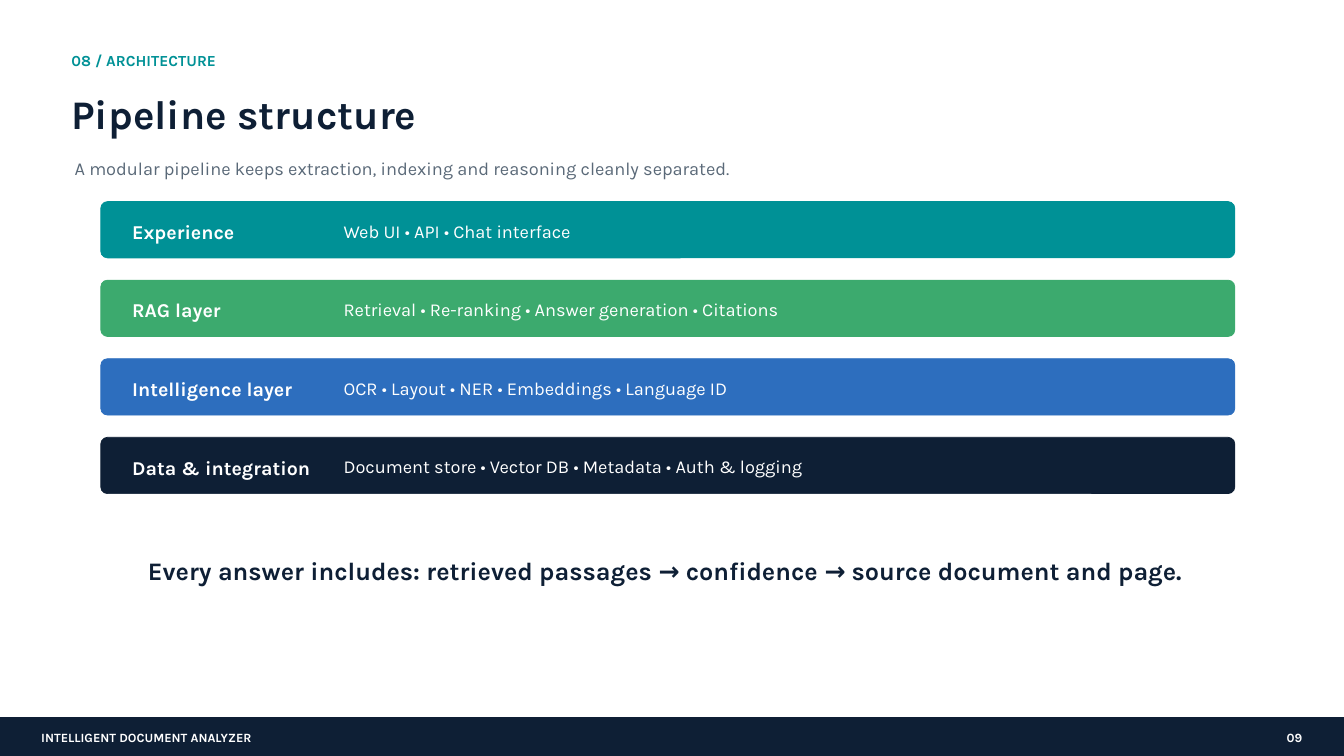
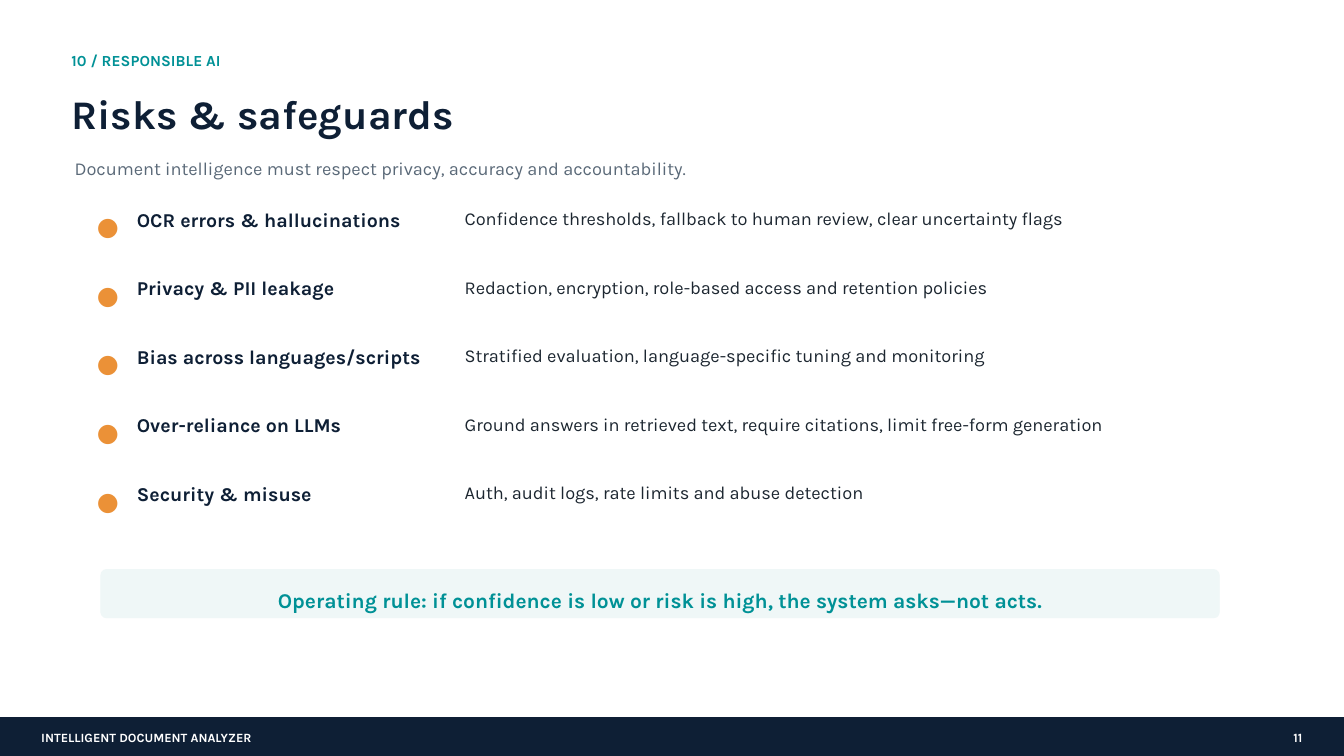
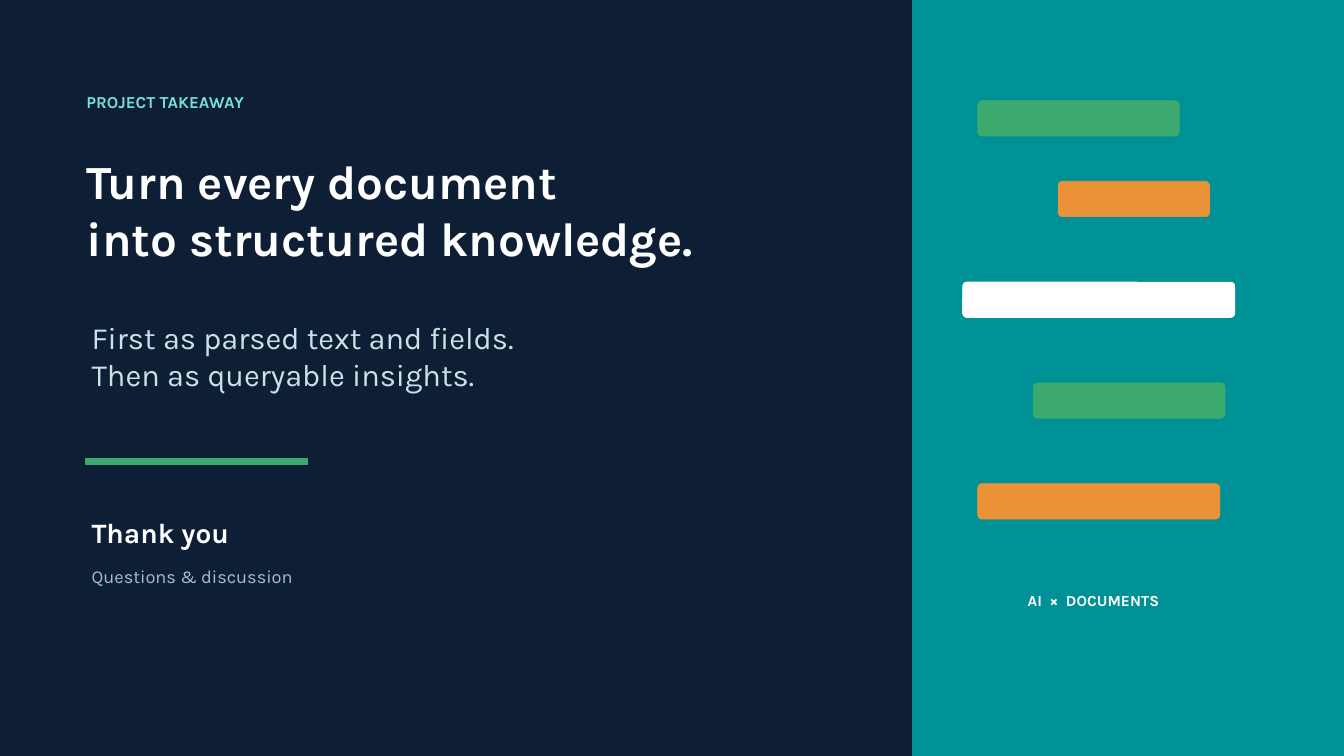
from dataclasses import dataclass

from pptx import Presentation
from pptx import util as u
from pptx.dml.color import RGBColor
from pptx.enum import shapes, text


@dataclass(frozen=True)
class Style:
    size: float
    color: str
    bold: bool = False


class Theme:
    font = "Karla"
    width, height = 33.87, 19.05
    inset = 0.15
    corner = 0.12
    outline = 0.5

    navy, teal, green, blue = "0E1F35", "009196", "3CAA6E", "2D6EBE"
    orange, mint, white = "EB9137", "EFF7F7", "FFFFFF"

    eyebrow = Style(11, teal, True)
    title = Style(29, navy, True)
    subtitle = Style(13, "5A6978")
    footer = Style(9, white, True)
    layer_name = Style(14, white, True)
    layer_parts = Style(13, white)
    conclusion = Style(18, navy, True)
    dot = Style(18, orange, True)
    risk = Style(14, navy, True)
    safeguard = Style(13, "1C2630")
    operating_rule = Style(15, teal, True)
    closing_eyebrow = Style(12, "74E0D7", True)
    closing_title = Style(34, white, True)
    closing_lines = Style(22, "CCE1E6")
    thanks = Style(20, white, True)
    questions = Style(13, "A8BECC")
    panel_label = Style(11, white, True)


LEFT, CENTER, RIGHT = text.PP_ALIGN.LEFT, text.PP_ALIGN.CENTER, text.PP_ALIGN.RIGHT
RECTANGLE = shapes.MSO_SHAPE.RECTANGLE
ROUNDED = shapes.MSO_SHAPE.ROUNDED_RECTANGLE


def lengths(place):
    return [u.Cm(value) for value in place]


def spread(first, last, count):
    """Return count evenly spaced positions from first to last."""
    step = (last - first) / (count - 1)
    return [first + step * index for index in range(count)]


def fill_text(box, words, style, align=LEFT):
    """Write words into a box; a line feed becomes a line break."""
    frame = box.text_frame
    frame.word_wrap = True
    frame.auto_size = text.MSO_AUTO_SIZE.SHAPE_TO_FIT_TEXT
    frame.vertical_anchor = text.MSO_ANCHOR.TOP
    frame.margin_left = frame.margin_right = u.Cm(Theme.inset)
    frame.margin_top = frame.margin_bottom = u.Cm(Theme.inset)
    para = frame.paragraphs[0]
    para.alignment = align
    for index, line in enumerate(words.split("\n")):
        if index:
            para.add_line_break()
        span = para.add_run()
        span.text = line
        span.font.name = Theme.font
        span.font.size = u.Pt(style.size)
        span.font.bold = style.bold
        span.font.color.rgb = RGBColor.from_string(style.color)


def add_text(page, place, words, style, align=LEFT):
    fill_text(page.shapes.add_textbox(*lengths(place)), words, style, align)


def set_title(page, place, words, style):
    title = page.shapes.title
    title.left, title.top, title.width, title.height = lengths(place)
    fill_text(title, words, style)


def add_block(page, place, color, kind=RECTANGLE):
    block = page.shapes.add_shape(kind, *lengths(place))
    block.shadow.inherit = False
    block.fill.solid()
    block.fill.fore_color.rgb = RGBColor.from_string(color)
    block.line.color.rgb = RGBColor.from_string(color)
    block.line.width = u.Pt(Theme.outline)
    if kind == ROUNDED:
        block.adjustments[0] = Theme.corner
    return block


def add_page(deck, color):
    """Add a page with a full-size backdrop behind its title."""
    title_only = deck.slide_layouts[5]
    page = deck.slides.add_slide(title_only)
    backdrop = add_block(page, (0, 0, Theme.width, Theme.height), color)
    page.shapes.title.element.addprevious(backdrop.element)
    return page


def add_content_page(deck, eyebrow, title, subtitle, number):
    """Add a white page with its heading and footer band."""
    page = add_page(deck, Theme.white)
    add_text(page, (1.65, 1.14, 13.21, 0.76), eyebrow, Theme.eyebrow)
    set_title(page, (1.65, 2.08, 29.72, 1.65), title, Theme.title)
    add_text(page, (1.73, 3.81, 28.96, 1.02), subtitle, Theme.subtitle)
    add_block(page, (0, 18.08, Theme.width, 0.97), Theme.navy)
    add_text(page, (0.89, 18.24, 15.24, 0.56),
             "INTELLIGENT DOCUMENT ANALYZER", Theme.footer)
    add_text(page, (32.08, 18.24, 0.89, 0.56), number, Theme.footer, RIGHT)
    return page


def add_layer(page, top, color, name, parts):
    add_block(page, (2.54, top, 28.58, 1.42), color, ROUNDED)
    add_text(page, (3.18, top + 0.31, 5.33, 0.64), name, Theme.layer_name)
    add_text(page, (8.51, top + 0.31, 21.59, 0.64), parts, Theme.layer_parts)


def add_risk(page, top, risk, safeguard):
    add_text(page, (2.29, top + 0.08, 0.76, 0.64), "●", Theme.dot)
    add_text(page, (3.3, top, 7.87, 0.76), risk, Theme.risk)
    add_text(page, (11.56, top, 19.56, 0.97), safeguard, Theme.safeguard)


def build_pipeline(deck):
    page = add_content_page(
        deck, "08 / ARCHITECTURE", "Pipeline structure",
        "A modular pipeline keeps extraction, indexing and reasoning cleanly separated.",
        "09")
    layers = [
        (Theme.teal, "Experience", "Web UI • API • Chat interface"),
        (Theme.green, "RAG layer",
         "Retrieval • Re-ranking • Answer generation • Citations"),
        (Theme.blue, "Intelligence layer",
         "OCR • Layout • NER • Embeddings • Language ID"),
        (Theme.navy, "Data & integration",
         "Document store • Vector DB • Metadata • Auth & logging"),
    ]
    for top, layer in zip(spread(5.08, 11.02, len(layers)), layers):
        add_layer(page, top, *layer)
    add_text(page, (2.54, 13.84, 28.45, 1.02),
             "Every answer includes: retrieved passages → confidence → "
             "source document and page.", Theme.conclusion, CENTER)


def build_risks(deck):
    page = add_content_page(
        deck, "10 / RESPONSIBLE AI", "Risks & safeguards",
        "Document intelligence must respect privacy, accuracy and accountability.",
        "11")
    risks = [
        ("OCR errors & hallucinations",
         "Confidence thresholds, fallback to human review, clear uncertainty flags"),
        ("Privacy & PII leakage",
         "Redaction, encryption, role-based access and retention policies"),
        ("Bias across languages/scripts",
         "Stratified evaluation, language-specific tuning and monitoring"),
        ("Over-reliance on LLMs",
         "Ground answers in retrieved text, require citations, limit free-form generation"),
        ("Security & misuse", "Auth, audit logs, rate limits and abuse detection"),
    ]
    for top, (risk, safeguard) in zip(spread(5.08, 11.99, len(risks)), risks):
        add_risk(page, top, risk, safeguard)
    add_block(page, (2.54, 14.35, 28.19, 1.22), Theme.mint, ROUNDED)
    add_text(page, (3.05, 14.66, 27.18, 0.64),
             "Operating rule: if confidence is low or risk is high, "
             "the system asks—not acts.", Theme.operating_rule, CENTER)


def build_closing(deck):
    page = add_page(deck, Theme.navy)
    add_text(page, (2.03, 2.16, 10.16, 0.76), "PROJECT TAKEAWAY", Theme.closing_eyebrow)
    set_title(page, (2.03, 3.68, 19.56, 3.18),
              "Turn every document\ninto structured knowledge.", Theme.closing_title)
    add_text(page, (2.16, 7.88, 16.51, 2.29),
             "First as parsed text and fields.\nThen as queryable insights.",
             Theme.closing_lines)
    add_block(page, (2.16, 11.56, 5.59, 0.15), Theme.green)
    add_text(page, (2.16, 12.83, 7.62, 1.27), "Thank you", Theme.thanks)
    add_text(page, (2.16, 14.1, 10.16, 0.76), "Questions & discussion", Theme.questions)

    panel_left = 22.99
    add_block(page, (panel_left, 0, Theme.width - panel_left, Theme.height), Theme.teal)
    bars = [
        (24.64, 2.54, 5.08, Theme.green),
        (26.67, 4.57, 3.81, Theme.orange),
        (24.26, 7.11, 6.86, Theme.white),
        (26.04, 9.65, 4.83, Theme.green),
        (24.64, 12.19, 6.1, Theme.orange),
    ]
    for left, top, width, color in bars:
        add_block(page, (left, top, width, 0.89), color, ROUNDED)
    add_text(page, (23.75, 14.74, 7.62, 0.76), "AI  ×  DOCUMENTS",
             Theme.panel_label, CENTER)


def main():
    deck = Presentation()
    deck.slide_width, deck.slide_height = lengths((Theme.width, Theme.height))
    build_pipeline(deck)
    build_risks(deck)
    build_closing(deck)
    deck.save("out.pptx")


if __name__ == "__main__":
    main()
